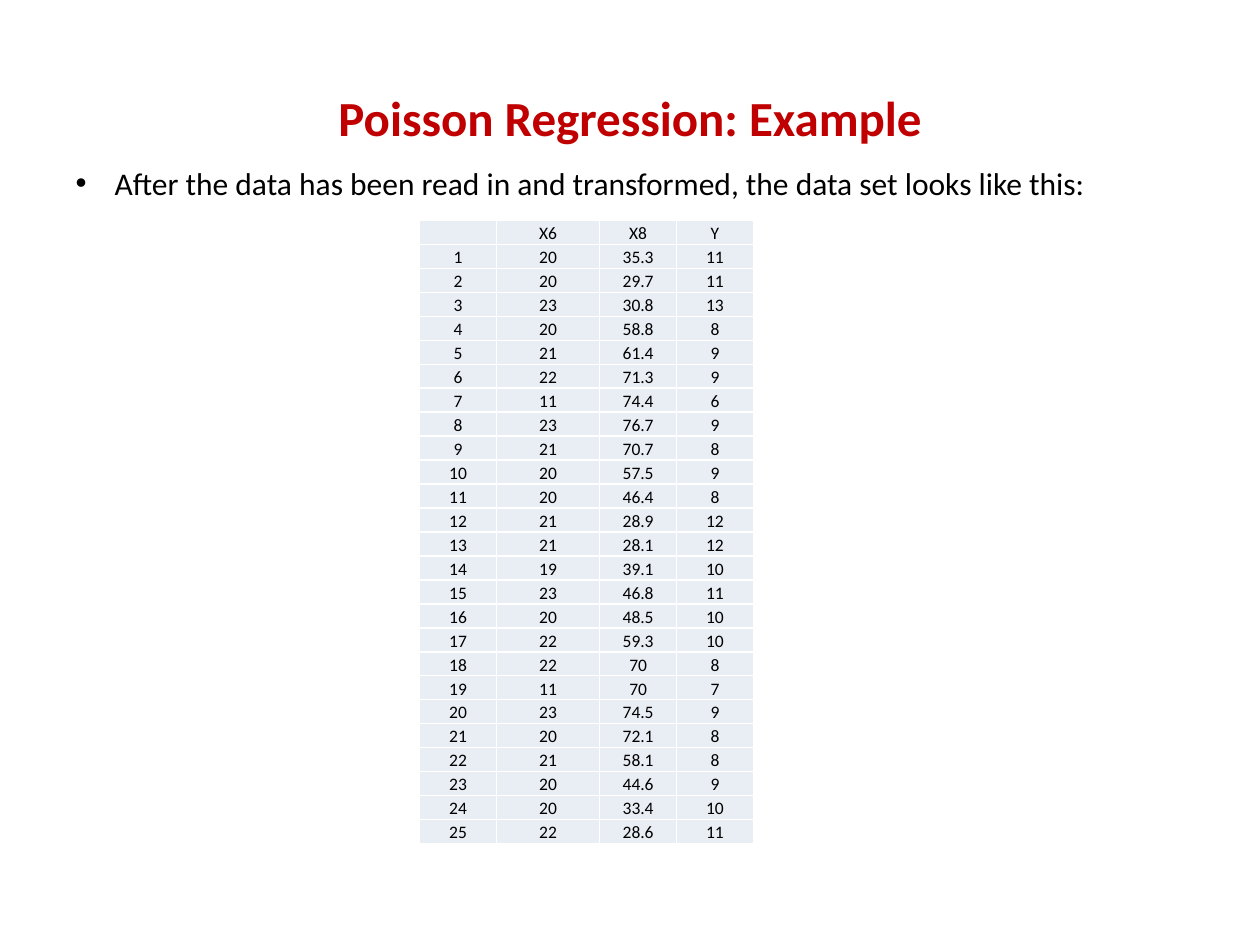
import pptx
import pptx.dml.color
import pptx.enum.text
import pptx.oxml
import pptx.oxml.ns
import pptx.util
from lxml import etree

WIDTH, HEIGHT = 10, 7.5
MARGIN = 0.05 * WIDTH
FONT = "Calibri"
RED, BLACK, WHITE, PALE_BLUE = "C00000", "000000", "FFFFFF", "E9EDF4"
COLUMN_WIDTHS = [0.61, 0.82, 0.61, 0.61]
TABLE_LEFT, TABLE_TOP, TABLE_HEIGHT = 3.33, 1.75, 4.95

HEADER = ["", "X6", "X8", "Y"]
OBSERVATIONS = [
    (20, 35.3, 11), (20, 29.7, 11), (23, 30.8, 13), (20, 58.8, 8), (21, 61.4, 9),
    (22, 71.3, 9), (11, 74.4, 6), (23, 76.7, 9), (21, 70.7, 8), (20, 57.5, 9),
    (20, 46.4, 8), (21, 28.9, 12), (21, 28.1, 12), (19, 39.1, 10), (23, 46.8, 11),
    (20, 48.5, 10), (22, 59.3, 10), (22, 70, 8), (11, 70, 7), (23, 74.5, 9),
    (20, 72.1, 8), (21, 58.1, 8), (20, 44.6, 9), (20, 33.4, 10), (22, 28.6, 11),
]

ALIGN = pptx.enum.text.PP_ALIGN
ANCHOR = pptx.enum.text.MSO_ANCHOR
inches = pptx.util.Inches


def color(value):
    return pptx.dml.color.RGBColor.from_string(value)


def style(para, size, hue, align, bold=False):
    para.alignment = align
    para.font.name = FONT
    para.font.size = pptx.util.Pt(size)
    para.font.bold = bold
    para.font.color.rgb = color(hue)


def fill_placeholder(box, text, top, height, anchor):
    """Move a full-width placeholder, set its text and return the paragraph."""
    box.left, box.width = inches(MARGIN), inches(WIDTH - 2 * MARGIN)
    box.top, box.height = inches(top), inches(height)
    frame = box.text_frame
    frame.text = text
    frame.vertical_anchor = anchor
    frame.word_wrap = True
    return frame.paragraphs[0]


def add_bullet(para, indent):
    para.space_before = pptx.util.Pt(0)
    properties = para._p.get_or_add_pPr()
    properties.set("marL", str(inches(indent)))
    properties.set("indent", str(inches(-indent)))


def add_borders(cell, hue, points):
    properties = cell._tc.get_or_add_tcPr()
    for side in ("lnL", "lnR", "lnT", "lnB"):
        line = etree.SubElement(properties, pptx.oxml.ns.qn(f"a:{side}"),
                                w=str(pptx.util.Pt(points)))
        fill = etree.SubElement(line, pptx.oxml.ns.qn("a:solidFill"))
        etree.SubElement(fill, pptx.oxml.ns.qn("a:srgbClr"), val=hue)


def fill_cell(cell, text):
    cell.margin_left = cell.margin_right = cell.margin_top = inches(0.01)
    cell.margin_bottom = 0
    cell.vertical_anchor = ANCHOR.BOTTOM
    add_borders(cell, WHITE, 1)
    cell.fill.solid()
    cell.fill.fore_color.rgb = color(PALE_BLUE)
    para = cell.text_frame.paragraphs[0]
    style(para, 10, BLACK, ALIGN.CENTER)
    if text:
        para.add_run().text = text
    else:  # an empty cell takes its line height from the end mark
        etree.SubElement(para._p, pptx.oxml.ns.qn("a:endParaRPr"), sz="1000")


def add_data_table(page):
    rows = [HEADER] + [(number, *values)
                       for number, values in enumerate(OBSERVATIONS, 1)]
    table = page.shapes.add_table(
        len(rows), len(HEADER), inches(TABLE_LEFT), inches(TABLE_TOP),
        inches(sum(COLUMN_WIDTHS)), inches(TABLE_HEIGHT)).table
    for column, width in zip(table.columns, COLUMN_WIDTHS):
        column.width = inches(width)
    for row, values in zip(table.rows, rows):
        for cell, value in zip(row.cells, values):
            fill_cell(cell, str(value))


def main():
    deck = pptx.Presentation()
    deck.slide_width, deck.slide_height = inches(WIDTH), inches(HEIGHT)
    page = deck.slides.add_slide(deck.slide_layouts.get_by_name("Title and Content"))
    for box in list(page.placeholders)[2:]:
        box.element.getparent().remove(box.element)

    title = fill_placeholder(page.shapes.title, "Poisson Regression: Example",
                             0.3, 1.25, ANCHOR.MIDDLE)
    style(title, 28, RED, ALIGN.CENTER, bold=True)

    lead = fill_placeholder(
        page.placeholders[1],
        "After the data has been read in and transformed, the data set looks like this:",
        1.25, 0.4, ANCHOR.TOP)
    style(lead, 18, BLACK, ALIGN.LEFT)
    add_bullet(lead, 0.31)

    add_data_table(page)
    deck.save("out.pptx")


if __name__ == "__main__":
    main()
